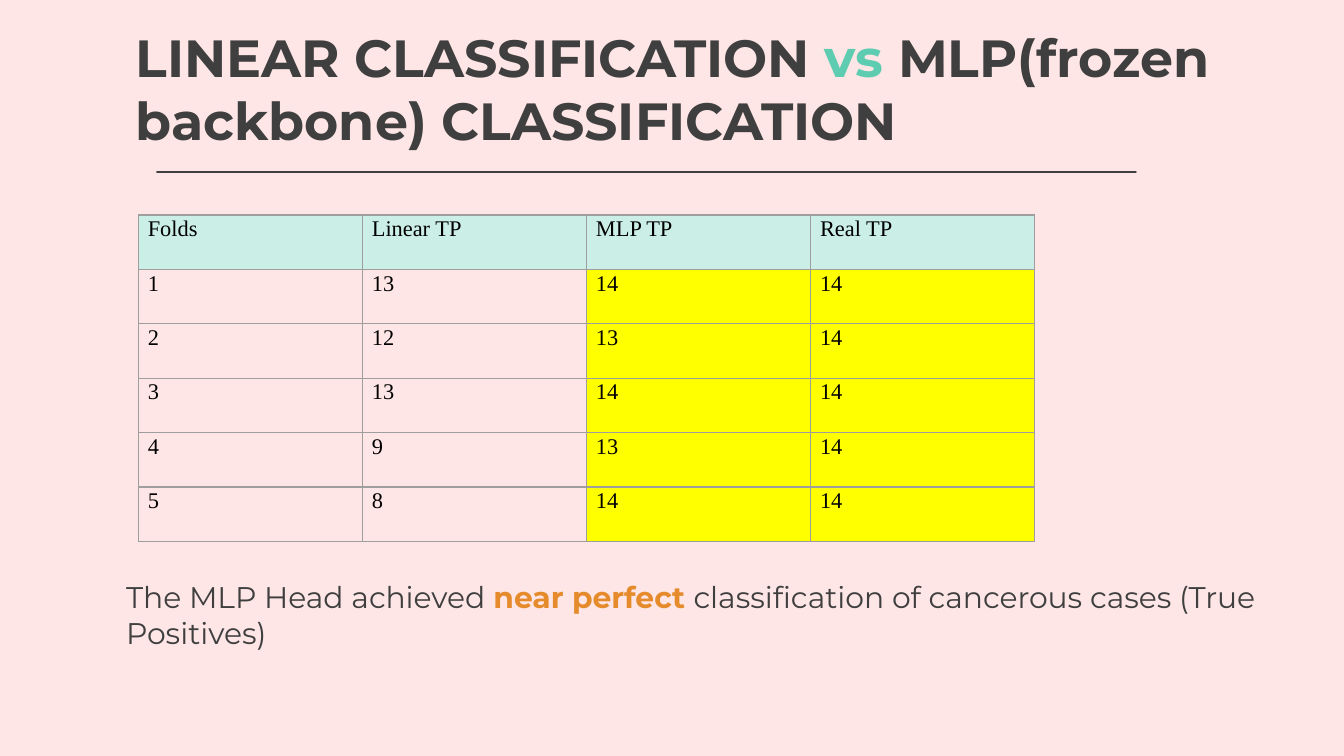
from dataclasses import dataclass

from lxml import etree
from pptx import Presentation
from pptx.dml.color import RGBColor
from pptx.enum.shapes import MSO_CONNECTOR
from pptx.enum.text import MSO_ANCHOR, MSO_AUTO_SIZE, PP_ALIGN
from pptx.oxml.ns import qn
from pptx.util import Inches, Pt

STRAIGHT = MSO_CONNECTOR.STRAIGHT
BOTTOM = MSO_ANCHOR.BOTTOM
NO_AUTOFIT = MSO_AUTO_SIZE.NONE
LEFT = PP_ALIGN.LEFT
TITLE_ONLY = 5


@dataclass(frozen=True)
class Theme:
    background: str = "FFE6E6"
    ink: str = "3F3F3F"
    teal: str = "5DCCB0"
    orange: str = "E68B2C"
    header: str = "CBEFE6"
    highlight: str = "FFFF00"
    cell_text: str = "000000"
    border: str = "9E9E9E"
    font: str = "Montserrat"
    table_font: str = "Times New Roman"
    title_size: int = 28
    body_size: int = 16
    table_size: int = 12


theme = Theme()


def write_spans(shape, size, spans):
    """Fill a bottom-anchored shape with one paragraph of (text, colour, bold) spans."""
    frame = shape.text_frame
    frame.word_wrap = True
    frame.auto_size = NO_AUTOFIT
    frame.vertical_anchor = BOTTOM
    frame.margin_left = frame.margin_right = Inches(0.1)
    frame.margin_top = frame.margin_bottom = Inches(0.1)
    para = frame.paragraphs[0]
    para.alignment = LEFT
    for text, colour, bold in spans:
        span = para.add_run()
        span.text = text
        span.font.name = theme.font
        span.font.size = Pt(size)
        span.font.bold = bold
        span.font.color.rgb = RGBColor.from_string(colour)


def add_borders(cell):
    properties = cell._tc.get_or_add_tcPr()
    for side in ("lnL", "lnR", "lnT", "lnB"):
        line = etree.SubElement(properties, qn(f"a:{side}"), w=str(Pt(0.75)))
        fill = etree.SubElement(line, qn("a:solidFill"))
        etree.SubElement(fill, qn("a:srgbClr"), val=theme.border)


deck = Presentation()
deck.slide_width = Inches(10)
deck.slide_height = deck.slide_width * 9 // 16
page = deck.slides.add_slide(deck.slide_layouts[TITLE_ONLY])
page.background.fill.solid()
page.background.fill.fore_color.rgb = RGBColor.from_string(theme.background)

# Title and rule
title = page.shapes.title
title.left, title.top = Inches(0.91), Inches(-0.18)
title.width, title.height = Inches(8.83), Inches(1.4)
write_spans(title, theme.title_size, [
    ("LINEAR CLASSIFICATION ", theme.ink, True),
    ("vs ", theme.teal, True),
    ("MLP(frozen backbone) CLASSIFICATION", theme.ink, True),
])

rule = page.shapes.add_connector(
    STRAIGHT, Inches(1.17), Inches(1.28), Inches(8.45), Inches(1.28))
rule.line.color.rgb = RGBColor.from_string(theme.ink)
rule.line.width = Pt(1.5)
outline = rule.line._get_or_add_ln()
outline.set("cap", "rnd")
etree.SubElement(outline, qn("a:round"))
etree.SubElement(rule._element.spPr, qn("a:effectLst"))

# True positives per fold
rows = [
    ("Folds", "Linear TP", "MLP TP", "Real TP"),
    (1, 13, 14, 14),
    (2, 12, 13, 14),
    (3, 13, 14, 14),
    (4, 9, 13, 14),
    (5, 8, 14, 14),
]
table = page.shapes.add_table(
    len(rows), len(rows[0]),
    Inches(1.03), Inches(1.6), Inches(6.67), Inches(2.43)).table
table.first_row = False
table.horz_banding = False

for row_index, values in enumerate(rows):
    for column_index, value in enumerate(values):
        cell = table.cell(row_index, column_index)
        cell.margin_left = cell.margin_right = Inches(0.07)
        cell.margin_top = cell.margin_bottom = 0
        add_borders(cell)
        if row_index == 0 or column_index >= 2:
            colour = theme.header if row_index == 0 else theme.highlight
            cell.fill.solid()
            cell.fill.fore_color.rgb = RGBColor.from_string(colour)
        else:
            cell.fill.background()
        para = cell.text_frame.paragraphs[0]
        para.text = str(value)
        para.line_spacing = 1.07
        para.space_after = Pt(8)
        span = para.runs[0]
        span.font.name = theme.table_font
        span.font.size = Pt(theme.table_size)
        span.font.color.rgb = RGBColor.from_string(theme.cell_text)

# Conclusion
conclusion = page.shapes.add_textbox(
    Inches(0.84), Inches(3.54), Inches(8.83), Inches(1.4))
write_spans(conclusion, theme.body_size, [
    ("The MLP Head achieved ", theme.ink, False),
    ("near perfect ", theme.orange, True),
    ("classification of cancerous cases (True Positives)", theme.ink, False),
])

deck.save("out.pptx")
